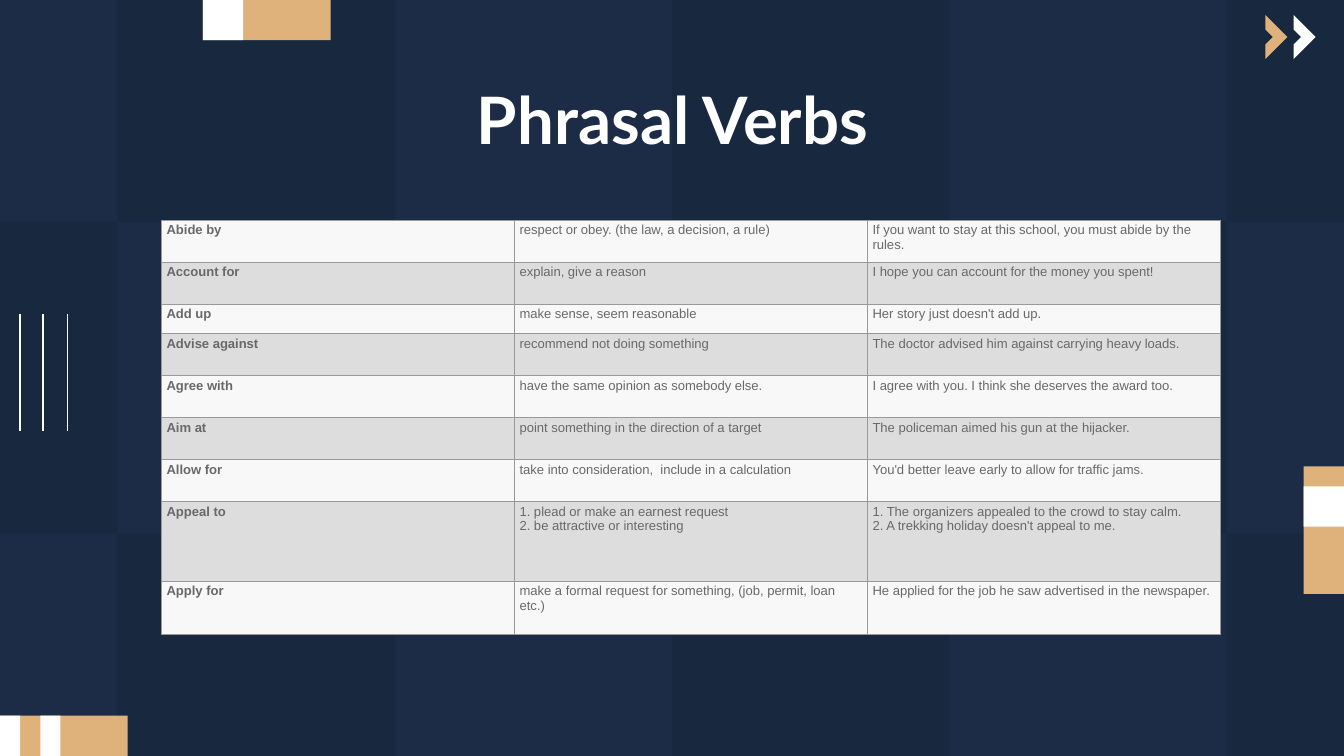
from lxml import etree
from pptx import Presentation
from pptx.dml.color import RGBColor
from pptx.enum.shapes import MSO_CONNECTOR, MSO_SHAPE
from pptx.enum.text import MSO_ANCHOR, MSO_AUTO_SIZE, PP_ALIGN
from pptx.oxml.ns import qn
from pptx.util import Inches, Pt

RECTANGLE = MSO_SHAPE.RECTANGLE
HALF_FRAME = MSO_SHAPE.HALF_FRAME
STRAIGHT = MSO_CONNECTOR.STRAIGHT
TOP = MSO_ANCHOR.TOP
NO_AUTOFIT = MSO_AUTO_SIZE.NONE
CENTER = PP_ALIGN.CENTER

NAVY = RGBColor(0x18, 0x28, 0x3F)
TILE_BLUE = RGBColor(0x1C, 0x2C, 0x46)
TAN = RGBColor(0xDE, 0xB2, 0x7A)
WHITE = RGBColor(0xFF, 0xFF, 0xFF)
TEXT_GRAY = RGBColor(0x69, 0x69, 0x69)
BORDER_GRAY = RGBColor(0x99, 0x99, 0x99)
ROW_FILLS = (RGBColor(0xF8, 0xF8, 0xF8), RGBColor(0xDD, 0xDD, 0xDD))

SLIDE_WIDTH = 10
SLIDE_HEIGHT = SLIDE_WIDTH * 9 / 16
TILE_COLUMNS = (0, 0.87, 2.94, 5, 7.06, 9.13, SLIDE_WIDTH)
TILE_ROWS = (0, 1.65, 3.97, SLIDE_HEIGHT)

BAND = 0.3
BAND_TOP = SLIDE_HEIGHT - BAND
ACCENT_BLOCKS = (
    (0, BAND_TOP, 0.95, BAND, TAN),
    (0, BAND_TOP, 0.15, BAND, WHITE),
    (0.3, BAND_TOP, 0.15, BAND, WHITE),
    (1.51, 0, 0.95, BAND, TAN),
    (1.51, 0, BAND, BAND, WHITE),
    (9.7, 3.47, BAND, 0.95, TAN),
    (9.7, 3.62, BAND, BAND, WHITE),
)

ROW_HEIGHT = 5 / 16
SPECIAL_ROW_HEIGHTS = {"Add up": 0.22, "Appeal to": 0.59, "Apply for": 0.4}
VERBS = (
    ("Abide by", "respect or obey. (the law, a decision, a rule)",
     "If you want to stay at this school, you must abide by the rules."),
    ("Account for", "explain, give a reason",
     "I hope you can account for the money you spent!"),
    ("Add up", "make sense, seem reasonable", "Her story just doesn't add up."),
    ("Advise against", "recommend not doing something",
     "The doctor advised him against carrying heavy loads."),
    ("Agree with", "have the same opinion as somebody else.",
     "I agree with you. I think she deserves the award too."),
    ("Aim at", "point something in the direction of a target",
     "The policeman aimed his gun at the hijacker."),
    ("Allow for", "take into consideration,  include in a calculation",
     "You'd better leave early to allow for traffic jams."),
    ("Appeal to",
     "1. plead or make an earnest request\v2. be attractive or interesting",
     "1. The organizers appealed to the crowd to stay calm.\v"
     "2. A trekking holiday doesn't appeal to me."),
    ("Apply for", "make a formal request for something, (job, permit, loan etc.)",
     "He applied for the job he saw advertised in the newspaper."),
)


def add_block(slide, kind, left, top, width, height, color):
    shape = slide.shapes.add_shape(
        kind, Inches(left), Inches(top), Inches(width), Inches(height))
    shape.shadow.inherit = False
    shape.fill.solid()
    shape.fill.fore_color.rgb = color
    shape.line.fill.background()
    return shape


def add_checkerboard(slide):
    for row, (top, bottom) in enumerate(zip(TILE_ROWS, TILE_ROWS[1:])):
        for column, (left, right) in enumerate(zip(TILE_COLUMNS, TILE_COLUMNS[1:])):
            if (row + column) % 2 == 0:
                add_block(slide, RECTANGLE, left, top, right - left, bottom - top, TILE_BLUE)


def add_chevron(slide, left, color):
    chevron = add_block(slide, HALF_FRAME, left, 0.16, 0.23, 0.23, color)
    chevron.adjustments[0] = 0.333
    chevron.adjustments[1] = 0.333
    chevron.rotation = 135


def add_vertical_line(slide, x):
    line = slide.shapes.add_connector(
        STRAIGHT, Inches(x), Inches(2.34), Inches(x), Inches(3.21))
    line.line.color.rgb = WHITE
    line.line.width = Pt(0.75)
    etree.SubElement(line.element.spPr, qn("a:effectLst"))


def format_title(slide, text):
    title = slide.shapes.title
    title.left, title.top = Inches(0.79), Inches(0.49)
    title.width, title.height = Inches(8.43), Inches(0.63)
    title.element.getparent().append(title.element)
    frame = title.text_frame
    frame.text = text
    frame.word_wrap = True
    frame.auto_size = NO_AUTOFIT
    frame.vertical_anchor = TOP
    frame.margin_left = frame.margin_right = Inches(0.1)
    frame.margin_top = frame.margin_bottom = Inches(0.1)
    paragraph = frame.paragraphs[0]
    paragraph.alignment = CENTER
    font = paragraph.runs[0].font
    font.name, font.size, font.bold = "Lato", Pt(35), True
    font.color.rgb = WHITE


def set_borders(cell):
    properties = cell._tc.get_or_add_tcPr()
    for side in ("a:lnL", "a:lnR", "a:lnT", "a:lnB"):
        border = etree.SubElement(properties, qn(side), w=str(Pt(0.6)))
        fill = etree.SubElement(border, qn("a:solidFill"))
        etree.SubElement(fill, qn("a:srgbClr"), val=str(BORDER_GRAY))


def format_cell(cell, text, fill_color, bold):
    cell.margin_left = cell.margin_right = Inches(0.04)
    cell.margin_top = cell.margin_bottom = Inches(0.02)
    set_borders(cell)
    cell.fill.solid()
    cell.fill.fore_color.rgb = fill_color
    paragraph = cell.text_frame.paragraphs[0]
    paragraph.text = text
    for run in paragraph.runs:
        run.font.name, run.font.size, run.font.bold = "Arial", Pt(7), bold
        run.font.color.rgb = TEXT_GRAY


def add_verb_table(slide):
    table = slide.shapes.add_table(
        len(VERBS), 3, Inches(1.2), Inches(1.64), Inches(7.88), Inches(3.08)).table
    table.first_row = False
    table.horz_banding = False
    for row, texts in enumerate(VERBS):
        table.rows[row].height = Inches(SPECIAL_ROW_HEIGHTS.get(texts[0], ROW_HEIGHT))
        for column, text in enumerate(texts):
            format_cell(table.cell(row, column), text, ROW_FILLS[row % 2], column == 0)


def main():
    presentation = Presentation()
    presentation.slide_width = Inches(SLIDE_WIDTH)
    presentation.slide_height = Inches(SLIDE_HEIGHT)
    slide = presentation.slides.add_slide(presentation.slide_layouts[5])
    slide.background.fill.solid()
    slide.background.fill.fore_color.rgb = NAVY
    add_checkerboard(slide)
    for left, top, width, height, color in ACCENT_BLOCKS:
        add_block(slide, RECTANGLE, left, top, width, height, color)
    for x in (0.15, 0.32, 0.5):
        add_vertical_line(slide, x)
    add_chevron(slide, 9.51, WHITE)
    add_chevron(slide, 9.3, TAN)
    format_title(slide, "Phrasal Verbs")
    add_verb_table(slide)
    presentation.save("out.pptx")


if __name__ == "__main__":
    main()
